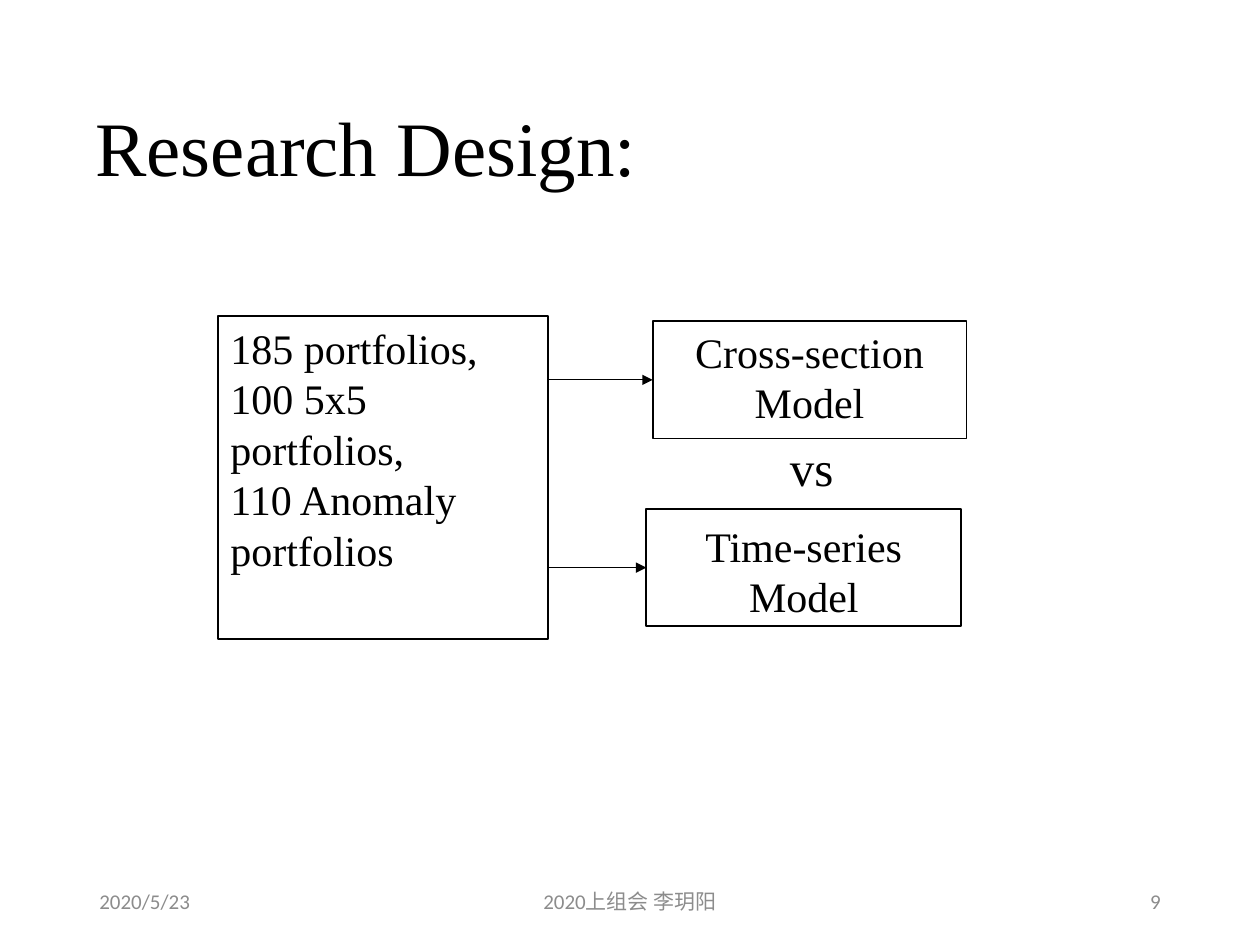
from dataclasses import dataclass
from pptx import Presentation
from pptx.dml.color import RGBColor as RGB
from pptx.enum.shapes import MSO_CONNECTOR as Conn, MSO_SHAPE as Kind
from pptx.enum.text import MSO_ANCHOR as Anchor, PP_ALIGN as Align
from pptx.oxml.ns import qn
from pptx.util import Inches, Pt
from lxml.etree import SubElement


@dataclass(frozen=True)
class Theme:
    back: RGB = RGB(255, 255, 255)
    ink: RGB = RGB(0, 0, 0)
    gray: RGB = RGB(0x8C, 0x8C, 0x8C)
    serif: str = "Times New Roman"
    sans: str = "Calibri"
    head: int = 44
    body: int = 24
    mid: int = 28
    foot: int = 12
    edge: float = 1
    thin: float = 0.5


class Deck:
    def __init__(self, theme):
        self.theme = theme
        self.file = Presentation()
        self.file.slide_width = Inches(10)
        self.file.slide_height = Inches(7.5)
        self.slide = self.file.slides.add_slide(self.file.slide_layouts[6])
        fill = self.slide.background.fill
        fill.solid()
        fill.fore_color.rgb = theme.back

    def style(self, shape, text, size, align, anchor, font=None, color=None):
        frame = shape.text_frame
        frame.text = text
        frame.word_wrap = True
        frame.vertical_anchor = anchor
        for para in frame.paragraphs:
            para.alignment = align
            for run in para.runs:
                run.font.size = Pt(size)
                run.font.name = font or self.theme.serif
                run.font.color.rgb = color or self.theme.ink
        return frame

    def label(self, area, text, size, align=Align.LEFT, anchor=Anchor.TOP, **look):
        shape = self.slide.shapes.add_textbox(*map(Inches, area))
        return self.style(shape, text, size, align, anchor, **look)

    def title(self, area, text):
        frame = self.label(area, text, self.theme.head, anchor=Anchor.MIDDLE)
        frame.paragraphs[0].line_spacing = 0.9

    def footer(self, area, text, align):
        self.label(area, text, self.theme.foot, align, Anchor.MIDDLE,
                   font=self.theme.sans, color=self.theme.gray)

    def box(self, area, text, align=Align.CENTER, top=0.05):
        shape = self.slide.shapes.add_shape(Kind.RECTANGLE, *map(Inches, area))
        shape.shadow.inherit = False
        shape.fill.background()
        shape.line.color.rgb = self.theme.ink
        shape.line.width = Pt(self.theme.edge)
        frame = self.style(shape, text, self.theme.body, align, Anchor.TOP)
        frame.margin_top = Inches(top)
        return shape

    def arrow(self, start, end):
        y = end.top + end.height // 2
        line = self.slide.shapes.add_connector(
            Conn.STRAIGHT, start.left + start.width, y, end.left, y)
        line.end_connect(end, 1)
        line.line.color.rgb = self.theme.ink
        line.line.width = Pt(self.theme.thin)
        props = line._element.spPr
        SubElement(props.find(qn("a:ln")), qn("a:tailEnd"), type="triangle")
        SubElement(props, qn("a:effectLst"))

    def save(self):
        self.file.save("out.pptx")


def main():
    deck = Deck(Theme())
    deck.title((0.66, 0.48, 8.62, 1.45), "Research Design:")
    data = deck.box(
        (1.73, 2.51, 2.62, 2.56),
        "185 portfolios,\n100 5x5 portfolios,\n110 Anomaly portfolios",
        Align.LEFT)
    cross = deck.box((5.18, 2.55, 2.49, 0.93), "Cross-section Model", top=0.04)
    time = deck.box((5.13, 4.04, 2.5, 0.93), "Time-series Model", top=0.09)
    for model in (cross, time):
        deck.arrow(data, model)
    deck.label((6.17, 3.42, 0.71, 0.57), "vs", deck.theme.mid)
    for left, width, text, align in (
        (0.69, 2.25, "2020/5/23", Align.LEFT),
        (3.31, 3.38, "2020上组会 李玥阳", Align.CENTER),
        (7.06, 2.25, "9", Align.RIGHT),
    ):
        deck.footer((left, 6.95, width, 0.4), text, align)
    deck.save()


if __name__ == "__main__":
    main()
